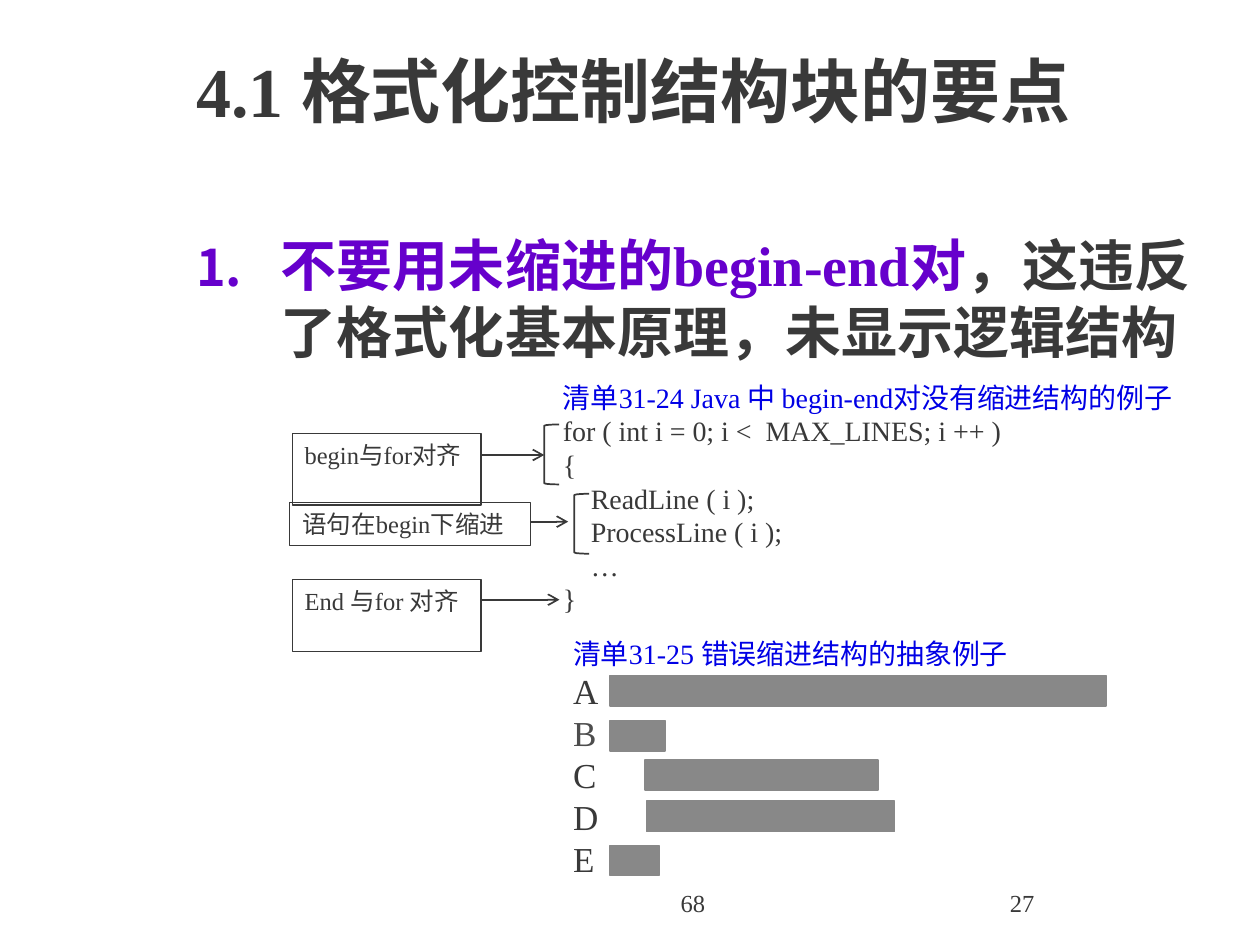
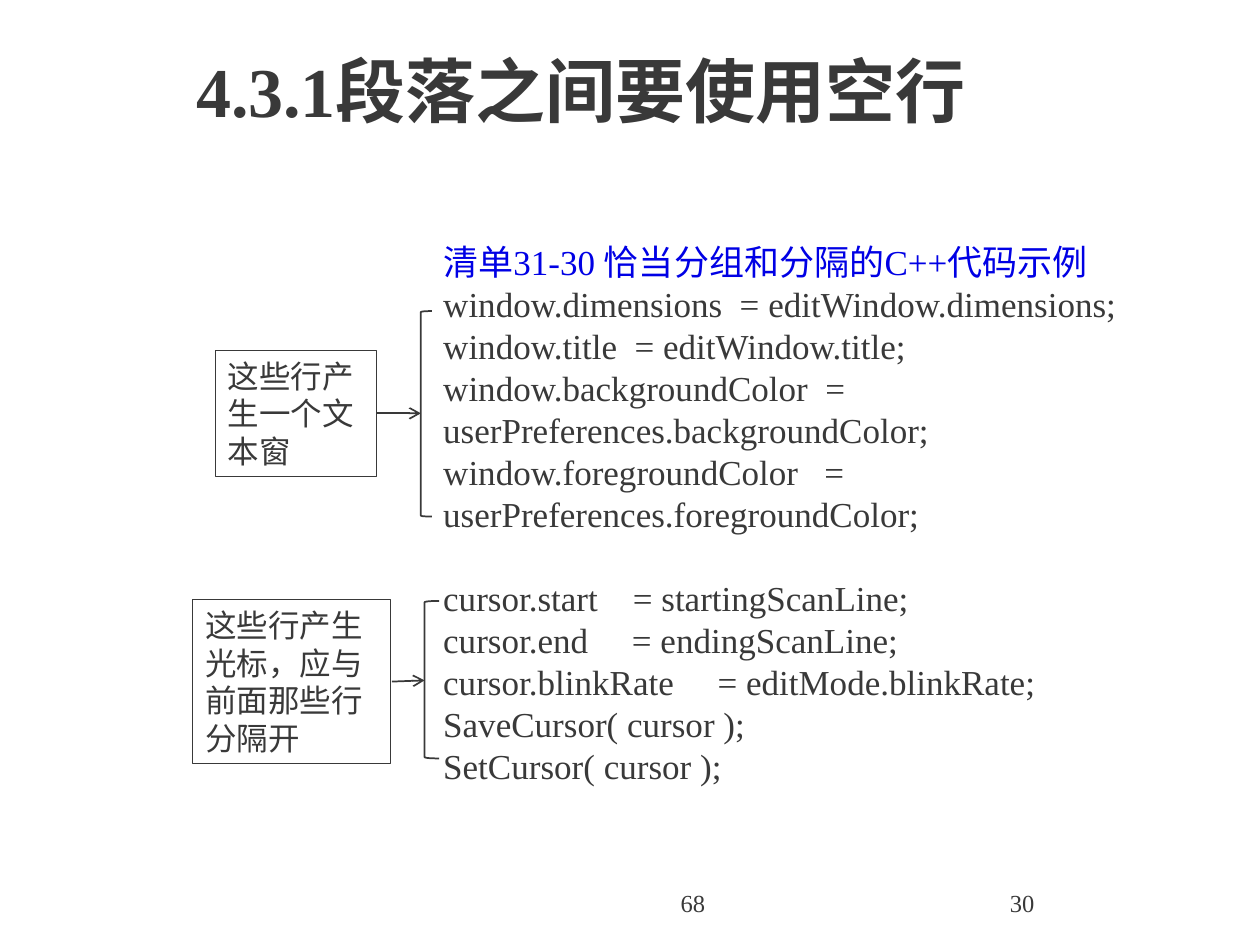
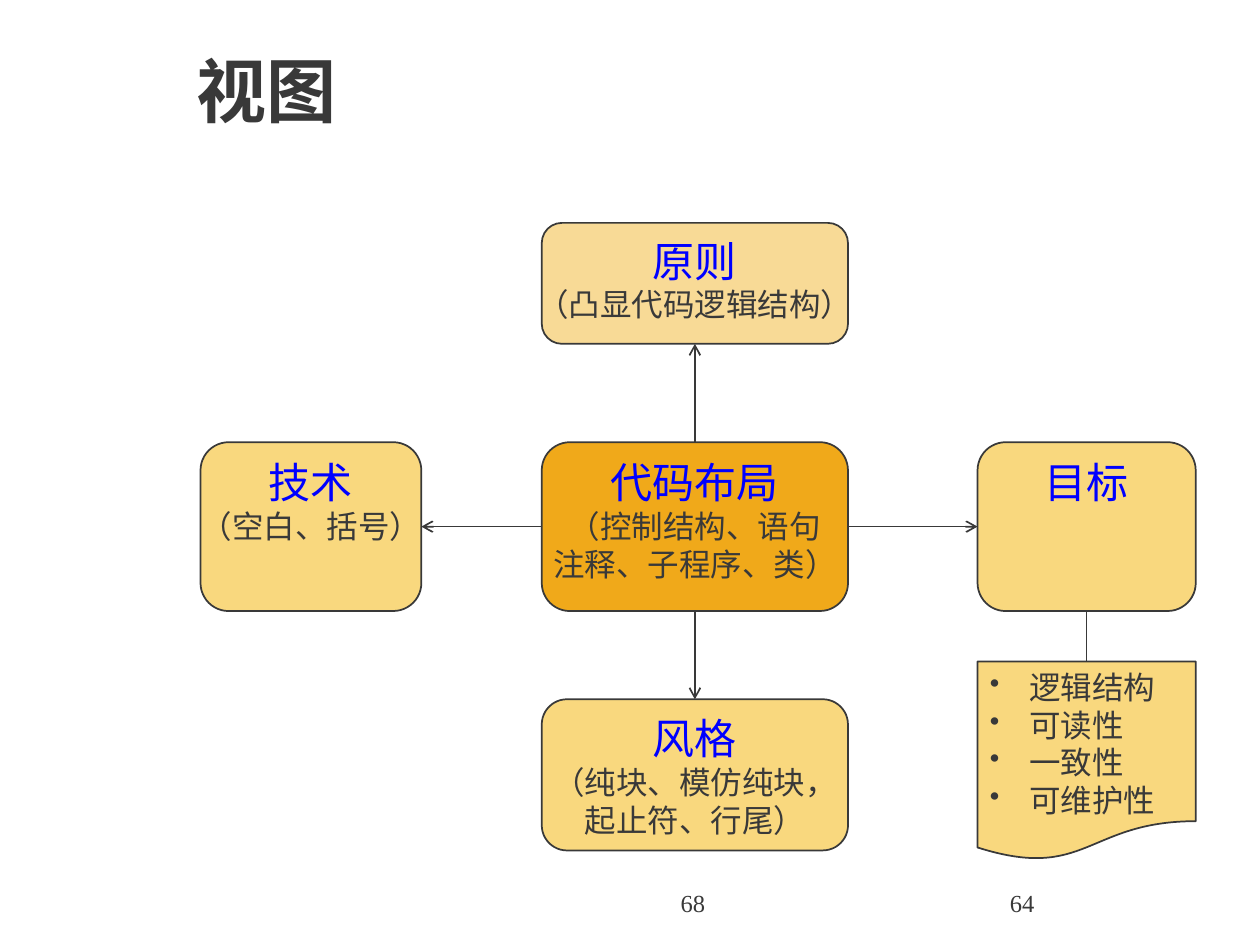
from dataclasses import dataclass
from typing import Optional

from lxml.etree import SubElement
from pptx import Presentation
from pptx.dml.color import RGBColor
from pptx.enum.shapes import MSO_CONNECTOR, MSO_SHAPE
from pptx.enum.text import MSO_ANCHOR, PP_ALIGN
from pptx.oxml.ns import qn
from pptx.util import Pt

FONT = "Times New Roman"
INK = RGBColor(0x39, 0x39, 0x39)
SOFT_INK = RGBColor(0x4D, 0x4D, 0x4D)
CAPTION_BLUE = RGBColor(0x00, 0x00, 0xE5)
NODE_BLUE = RGBColor(0x00, 0x00, 0xFF)
PURPLE = RGBColor(0x66, 0x00, 0xCC)
BAR_GRAY = RGBColor(0x88, 0x88, 0x88)
PALE_GOLD = RGBColor(0xF8, 0xDA, 0x96)
GOLD = RGBColor(0xF9, 0xD8, 0x7E)
AMBER = RGBColor(0xF0, 0xA9, 0x1A)


@dataclass(frozen=True)
class Area:
    left: float
    top: float
    width: float
    height: float

    @property
    def right(self) -> float:
        return self.left + self.width

    @property
    def bottom(self) -> float:
        return self.top + self.height

    @property
    def middle(self) -> float:
        return self.left + self.width / 2

    @property
    def center(self) -> float:
        return self.top + self.height / 2

    def points(self) -> tuple:
        return Pt(self.left), Pt(self.top), Pt(self.width), Pt(self.height)


@dataclass(frozen=True)
class Span:
    text: str
    size: float
    color: RGBColor = INK
    bold: bool = False


@dataclass(frozen=True)
class Bullet:
    tag: str
    attribute: str
    value: str
    indent: float
    color: RGBColor


@dataclass(frozen=True)
class Para:
    spans: tuple
    align: PP_ALIGN = PP_ALIGN.LEFT
    before: float = 0
    bullet: Optional[Bullet] = None


@dataclass(frozen=True)
class Node:
    area: Area
    fill: RGBColor
    heading: str
    details: tuple = ()


@dataclass(frozen=True)
class Note:
    text: str
    area: Area


@dataclass(frozen=True)
class Link:
    start_x: float
    start_y: float
    end_x: float
    end_y: float
    arrow: bool = True


NUMBERED = Bullet("a:buAutoNum", "type", "arabicPeriod", 48.5, PURPLE)
DOTTED = Bullet("a:buChar", "char", "•", 22.5, INK)

TITLE_AREA = Area(105, 3.6, 612, 95)
TOTAL_AREA = Area(282, 504, 228, 36)
NUMBER_AREA = Area(570, 504, 150, 36)

LOOP_CODE = (
    "for ( int i = 0; i <  MAX_LINES; i ++ )",
    "{",
    "    ReadLine ( i );",
    "    ProcessLine ( i );",
    "    …",
    "}",
)
LOOP_NOTES = (
    Note("begin与for对齐", Area(167, 247.7, 108, 41)),
    Note("语句在begin下缩进", Area(165.6, 287.3, 137.5, 24.5)),
    Note("End 与for 对齐", Area(167, 331.2, 108, 41)),
)
LOOP_BRACKETS = (Area(311, 242.6, 8.5, 34.2), Area(328.2, 282.2, 8.5, 34.2))
LOOP_LINKS = (
    Link(275, 260, 311, 260),
    Link(303.1, 298.1, 324.7, 298.1),
    Link(275, 342.7, 319.7, 342.7),
)
INDENT_BARS = (
    Area(348.5, 386, 283.7, 17.3),
    Area(348.5, 411.8, 31.7, 17.3),
    Area(368.6, 434.2, 133.2, 17.3),
    Area(369.4, 457.9, 141.8, 17.3),
    Area(348.5, 483.1, 28, 17.3),
)

WINDOW_CODE = (
    "window.dimensions  = editWindow.dimensions;",
    "window.title  = editWindow.title;",
    "window.backgroundColor  = userPreferences.backgroundColor;",
    "window.foregroundColor   = userPreferences.foregroundColor;",
)
CURSOR_CODE = (
    "cursor.start    = startingScanLine;",
    "cursor.end     = endingScanLine;",
    "cursor.blinkRate     = editMode.blinkRate;",
    "SaveCursor( cursor );",
    "SetCursor( cursor );",
)
GROUP_NOTES = (
    Note("这些行产生一个文本窗", Area(123.1, 200.2, 92.2, 72)),
    Note("这些行产生光标，应与前面那些行分隔开", Area(110.2, 342.7, 113, 93.6)),
)
GROUP_BRACKETS = (Area(240.5, 177.8, 6.3, 117.4), Area(242.6, 343.4, 8.3, 90))
GROUP_LINKS = (
    Link(215.3, 236.2, 240.5, 236.2),
    Link(223.9, 389.5, 242.6, 388.8),
)

PRINCIPLE = Node(Area(309.6, 127.4, 175, 69.1), PALE_GOLD, "原则", ("（凸显代码逻辑结构）",))
LAYOUT = Node(Area(309.6, 252.7, 175, 96.5), AMBER, "代码布局",
              ("（控制结构、语句", "注释、子程序、类）"))
TECHNIQUE = Node(Area(114.6, 252.7, 126.2, 96.5), GOLD, "技术", ("（空白、括号）",))
GOAL = Node(Area(558.6, 252.7, 124.7, 96.5), GOLD, "目标")
STYLE = Node(Area(309.6, 399.6, 175, 86.4), GOLD, "风格",
             ("（纯块、模仿纯块，", "起止符、行尾）"))
GOAL_LIST_AREA = Area(558.6, 378, 124.7, 113.8)
GOALS = ("逻辑结构", "可读性", "一致性", "可维护性")


def add_bullet(para, bullet: Bullet) -> None:
    properties = para._p.get_or_add_pPr()
    properties.set("marL", str(Pt(bullet.indent)))
    properties.set("indent", str(-Pt(bullet.indent)))
    color = SubElement(properties, qn("a:buClr"))
    SubElement(color, qn("a:srgbClr"), val=str(bullet.color))
    SubElement(properties, qn("a:buSzPct"), val="90000")
    SubElement(properties, qn(bullet.tag), {bullet.attribute: bullet.value})


def fill_text(shape, lines: list[Para], wrap: bool = True,
              anchor: MSO_ANCHOR = MSO_ANCHOR.TOP) -> None:
    frame = shape.text_frame
    frame.word_wrap = wrap
    frame.vertical_anchor = anchor
    for index, line in enumerate(lines):
        para = frame.paragraphs[0] if index == 0 else frame.add_paragraph()
        para.alignment = line.align
        if line.before:
            para.space_before = Pt(line.before)
        if line.bullet:
            add_bullet(para, line.bullet)
        for span in line.spans:
            run = para.add_run()
            run.text = span.text
            run.font.name = FONT
            run.font.size = Pt(span.size)
            run.font.bold = span.bold
            run.font.color.rgb = span.color


def plain(text: str, size: float, color: RGBColor = INK, **options) -> Para:
    return Para((Span(text, size, color),), **options)


def add_text(page, area: Area, lines: list[Para],
             anchor: MSO_ANCHOR = MSO_ANCHOR.TOP) -> None:
    fill_text(page.shapes.add_textbox(*area.points()), lines, anchor=anchor)


def add_figure(page, kind: MSO_SHAPE, area: Area, fill: Optional[RGBColor] = None,
               line: RGBColor = INK, weight: float = 1):
    shape = page.shapes.add_shape(kind, *area.points())
    shape.shadow.inherit = False
    if fill is None:
        shape.fill.background()
    else:
        shape.fill.solid()
        shape.fill.fore_color.rgb = fill
    shape.line.color.rgb = line
    shape.line.width = Pt(weight)
    return shape


def add_link(page, link: Link) -> None:
    connector = page.shapes.add_connector(
        MSO_CONNECTOR.STRAIGHT, Pt(link.start_x), Pt(link.start_y),
        Pt(link.end_x), Pt(link.end_y))
    connector.line.color.rgb = INK
    connector.line.width = Pt(1)
    if link.arrow:
        SubElement(connector.line._get_or_add_ln(), qn("a:tailEnd"), type="arrow")
    SubElement(connector._element.spPr, qn("a:effectLst"))


def add_annotations(page, notes: tuple, size: float, brackets: tuple, links: tuple) -> None:
    for note in notes:
        box = add_figure(page, MSO_SHAPE.RECTANGLE, note.area, weight=0.75)
        fill_text(box, [plain(note.text, size)])
    for area in brackets:
        add_figure(page, MSO_SHAPE.LEFT_BRACKET, area)
    for link in links:
        add_link(page, link)


def add_node(page, node: Node) -> None:
    box = add_figure(page, MSO_SHAPE.ROUNDED_RECTANGLE, node.area, node.fill)
    lines = [plain(node.heading, 24, NODE_BLUE, align=PP_ALIGN.CENTER)]
    lines += [plain(detail, 18, align=PP_ALIGN.CENTER) for detail in node.details]
    fill_text(box, lines, wrap=False)


def add_page(deck, title: str, number: str):
    page = deck.slides.add_slide(deck.slide_layouts[6])
    add_text(page, TOTAL_AREA, [plain("68", 14, align=PP_ALIGN.CENTER)])
    add_text(page, NUMBER_AREA, [plain(number, 14)])
    add_text(page, TITLE_AREA, [Para((Span(title, 40, bold=True),))], MSO_ANCHOR.MIDDLE)
    return page


def build_block_page(deck) -> None:
    page = add_page(deck, "4.1 格式化控制结构块的要点", "27")
    rule = (
        Span("不要用未缩进的begin-end对", 32, PURPLE, True),
        Span("，这违反了格式化基本原理，未显示逻辑结构", 32, INK, True),
    )
    add_text(page, Area(105, 128.2, 612, 93), [Para(rule, bullet=NUMBERED)])
    letters = [plain(letter, 20, SOFT_INK if letter == "B" else INK) for letter in "ABCDE"]
    add_text(page, Area(320.4, 360, 345.6, 146.9),
             [plain("清单31-25 错误缩进结构的抽象例子", 16, CAPTION_BLUE), *letters])
    for area in INDENT_BARS:
        add_figure(page, MSO_SHAPE.RECTANGLE, area, BAR_GRAY, BAR_GRAY)
    add_text(page, Area(314.6, 213.8, 385.2, 141.8),
             [plain("清单31-24 Java 中 begin-end对没有缩进结构的例子", 16, CAPTION_BLUE),
              *(plain(code, 16) for code in LOOP_CODE)])
    add_annotations(page, LOOP_NOTES, 14, LOOP_BRACKETS, LOOP_LINKS)


def build_spacing_page(deck) -> None:
    page = add_page(deck, "4.3.1段落之间要使用空行", "30")
    lines = [plain("清单31-30 恰当分组和分隔的C++代码示例", 20, CAPTION_BLUE)]
    lines += [plain(code, 20) for code in WINDOW_CODE]
    lines += [plain(code, 20, before=0 if index else 24)
              for index, code in enumerate(CURSOR_CODE)]
    add_text(page, Area(246.2, 133.9, 425.5, 319.7), lines)
    add_annotations(page, GROUP_NOTES, 18, GROUP_BRACKETS, GROUP_LINKS)


def build_view_page(deck) -> None:
    page = add_page(deck, "视图", "64")
    for node in (PRINCIPLE, LAYOUT, TECHNIQUE, GOAL, STYLE):
        add_node(page, node)
    goal_list = add_figure(page, MSO_SHAPE.FLOWCHART_DOCUMENT, GOAL_LIST_AREA, GOLD)
    fill_text(goal_list, [plain(goal, 18, bullet=DOTTED) for goal in GOALS])
    hub = LAYOUT.area
    links = (
        Link(hub.left, hub.center, TECHNIQUE.area.right, hub.center),
        Link(hub.right, hub.center, GOAL.area.left, hub.center),
        Link(hub.middle, hub.top, hub.middle, PRINCIPLE.area.bottom),
        Link(hub.middle, hub.bottom, hub.middle, STYLE.area.top),
        Link(GOAL.area.middle, GOAL.area.bottom,
             GOAL.area.middle, GOAL_LIST_AREA.top, arrow=False),
    )
    for link in links:
        add_link(page, link)


def main() -> None:
    deck = Presentation()
    deck.slide_width = Pt(720)
    deck.slide_height = Pt(540)
    build_block_page(deck)
    build_spacing_page(deck)
    build_view_page(deck)
    deck.save("out.pptx")


if __name__ == "__main__":
    main()
